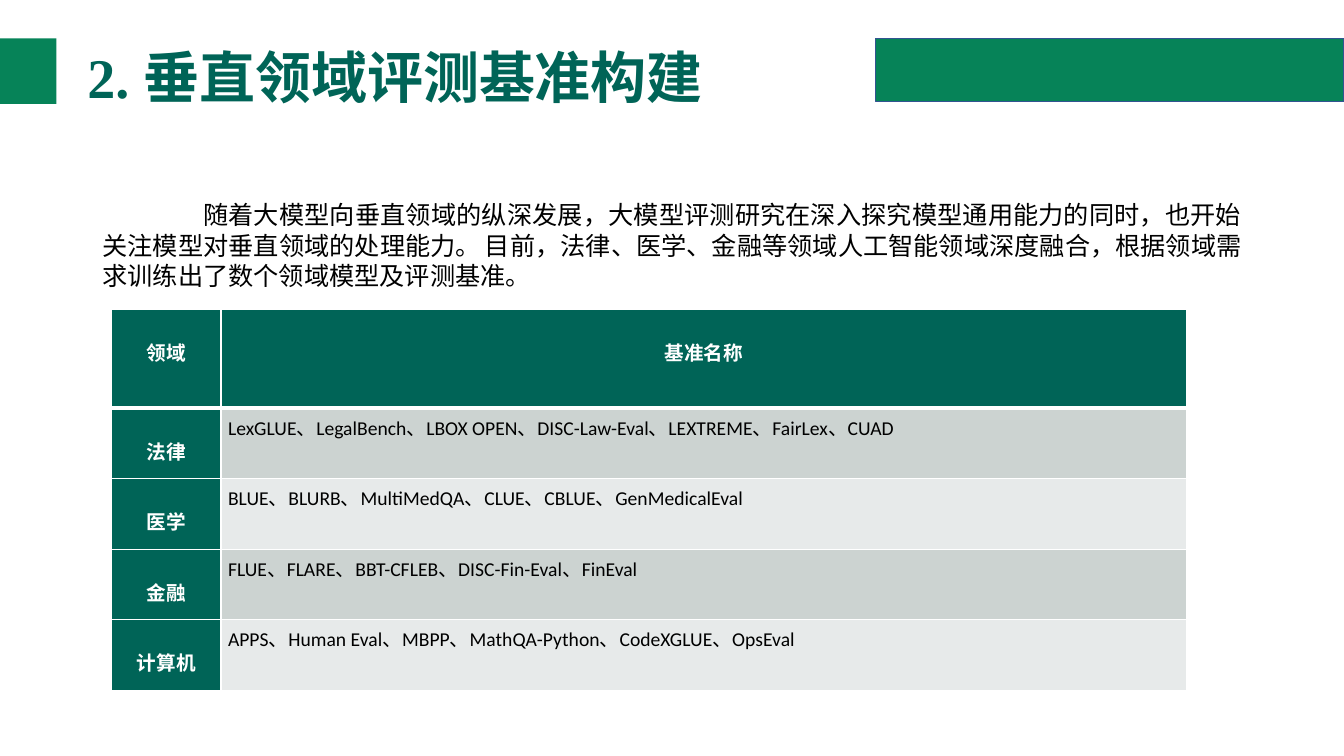
from dataclasses import dataclass

from lxml.etree import SubElement
from pptx import Presentation
from pptx.dml.color import RGBColor
from pptx.enum.lang import MSO_LANGUAGE_ID
from pptx.enum.shapes import MSO_SHAPE
from pptx.enum.text import MSO_ANCHOR, PP_ALIGN
from pptx.oxml.ns import qn
from pptx.slide import Slide
from pptx.table import _Cell
from pptx.text.text import _Paragraph
from pptx.util import Pt


@dataclass(frozen=True)
class Theme:
    bar: str = "068358"
    bar_edge: str = "325491"
    heading: str = "006457"
    ink: str = "000000"
    white: str = "FFFFFF"
    bands: tuple[str, str] = ("CCD3D1", "E7EAEA")
    serif: str = "Times New Roman"
    sans: str = "Calibri"
    title_size: float = 40
    body_size: float = 18
    gap_size: float = 12
    table_size: float = 14


@dataclass(frozen=True)
class Bar:
    left: float
    top: float
    width: float
    height: float
    edge: str | None = None


@dataclass(frozen=True)
class Domain:
    name: str
    benchmarks: str


THEME = Theme()

BARS = [
    Bar(0, 27.5, 40.3, 46.7),
    Bar(625.3, 27.4, 334.7, 45, THEME.bar_edge),
]

INTRO = [
    ("随着大模型向垂直领域的纵深发展，大模型评测研究在深入探究模型通用能力的同时，"
     "也开始关注模型对垂直领域的处理能力。", THEME.body_size),
    (" ", THEME.gap_size),
    ("目前，法律、医学、金融等领域人工智能领域深度融合，"
     "根据领域需求训练出了数个领域模型及评测基准。", THEME.body_size),
]

HEADER = Domain("领域", "基准名称")
DOMAINS = [
    Domain("法律", "LexGLUE、LegalBench、LBOX OPEN、DISC-Law-Eval、LEXTREME、FairLex、CUAD"),
    Domain("医学", "BLUE、BLURB、MultiMedQA、CLUE、CBLUE、GenMedicalEval"),
    Domain("金融", "FLUE、FLARE、BBT-CFLEB、DISC-Fin-Eval、FinEval"),
    Domain("计算机", "APPS、Human Eval、MBPP、MathQA-Python、CodeXGLUE、OpsEval"),
]


def add_run(paragraph: _Paragraph, text: str, font: str, size: float,
            color: str, bold: bool = False) -> None:
    run = paragraph.add_run()
    run.text = text
    run.font.name = font
    run.font.size = Pt(size)
    run.font.bold = bold
    run.font.color.rgb = RGBColor.from_string(color)
    run.font.language_id = MSO_LANGUAGE_ID.SIMPLIFIED_CHINESE


def draw_bar(slide: Slide, bar: Bar) -> None:
    band = slide.shapes.add_shape(MSO_SHAPE.RECTANGLE, Pt(bar.left), Pt(bar.top),
                                  Pt(bar.width), Pt(bar.height))
    band.shadow.inherit = False
    band.fill.solid()
    band.fill.fore_color.rgb = RGBColor.from_string(THEME.bar)
    if bar.edge:
        band.line.color.rgb = RGBColor.from_string(bar.edge)
        band.line.width = Pt(1)
    else:
        band.line.fill.background()


def draw_title(slide: Slide) -> None:
    frame = slide.shapes.add_textbox(Pt(55.4), Pt(20.2), Pt(555.8), Pt(74.2)).text_frame
    frame.word_wrap = True
    frame.vertical_anchor = MSO_ANCHOR.MIDDLE
    title = frame.paragraphs[0]
    title.line_spacing = 0.9
    add_run(title, "2. 垂直领域评测基准构建", THEME.serif, THEME.title_size, THEME.heading, True)


def draw_intro(slide: Slide) -> None:
    frame = slide.shapes.add_textbox(Pt(66.2), Pt(136.8), Pt(828), Pt(332.6)).text_frame
    frame.word_wrap = True
    frame.margin_top = Pt(5.5)
    intro = frame.paragraphs[0]
    intro.alignment = PP_ALIGN.JUSTIFY
    intro.line_spacing = Pt(21.8)
    # First-line indent
    intro._p.get_or_add_pPr().set("indent", str(Pt(72)))
    for text, size in INTRO:
        add_run(intro, text, THEME.serif, size, THEME.ink)


def set_borders(cell: _Cell, top: float, bottom: float) -> None:
    properties = cell._tc.get_or_add_tcPr()
    for side, width in (("L", 1), ("R", 1), ("T", top), ("B", bottom)):
        edge = SubElement(properties, qn(f"a:ln{side}"), w=str(Pt(width)))
        fill = SubElement(edge, qn("a:solidFill"))
        SubElement(fill, qn("a:srgbClr"), val=THEME.white)


def fill_cell(cell: _Cell, text: str, fill: str, is_label: bool,
              top: float, bottom: float) -> None:
    set_borders(cell, top, bottom)
    cell.fill.solid()
    cell.fill.fore_color.rgb = RGBColor.from_string(fill)
    cell.margin_left = cell.margin_right = Pt(5)
    cell.margin_top = Pt(17 if is_label else 0)
    cell.margin_bottom = Pt(0)
    entry = cell.text_frame.paragraphs[0]
    entry.alignment = PP_ALIGN.CENTER if is_label else PP_ALIGN.JUSTIFY
    entry.line_spacing = 1.15
    add_run(entry, text, THEME.sans, THEME.table_size,
            THEME.white if is_label else THEME.ink, is_label)


def draw_benchmarks(slide: Slide) -> None:
    entries = [HEADER, *DOMAINS]
    table = slide.shapes.add_table(len(entries), 2, Pt(79.9), Pt(221.2),
                                   Pt(767.5), Pt(272)).table
    for column, width in zip(table.columns, (78, 689.5)):
        column.width = Pt(width)
    for index, domain in enumerate(entries):
        is_header = index == 0
        table.rows[index].height = Pt(70.4 if is_header else 50.4)
        top = 3 if index == 1 else 1
        bottom = 3 if is_header else 1
        band = THEME.heading if is_header else THEME.bands[(index - 1) % 2]
        fill_cell(table.cell(index, 0), domain.name, THEME.heading, True, top, bottom)
        fill_cell(table.cell(index, 1), domain.benchmarks, band, is_header, top, bottom)


def main() -> None:
    deck = Presentation()
    deck.slide_width, deck.slide_height = Pt(960), Pt(540)
    slide = deck.slides.add_slide(deck.slide_layouts[6])
    # Green bars beside the title
    for bar in BARS:
        draw_bar(slide, bar)
    # Title and introduction
    draw_title(slide)
    draw_intro(slide)
    # Benchmarks by domain
    draw_benchmarks(slide)
    deck.save("out.pptx")


if __name__ == "__main__":
    main()
